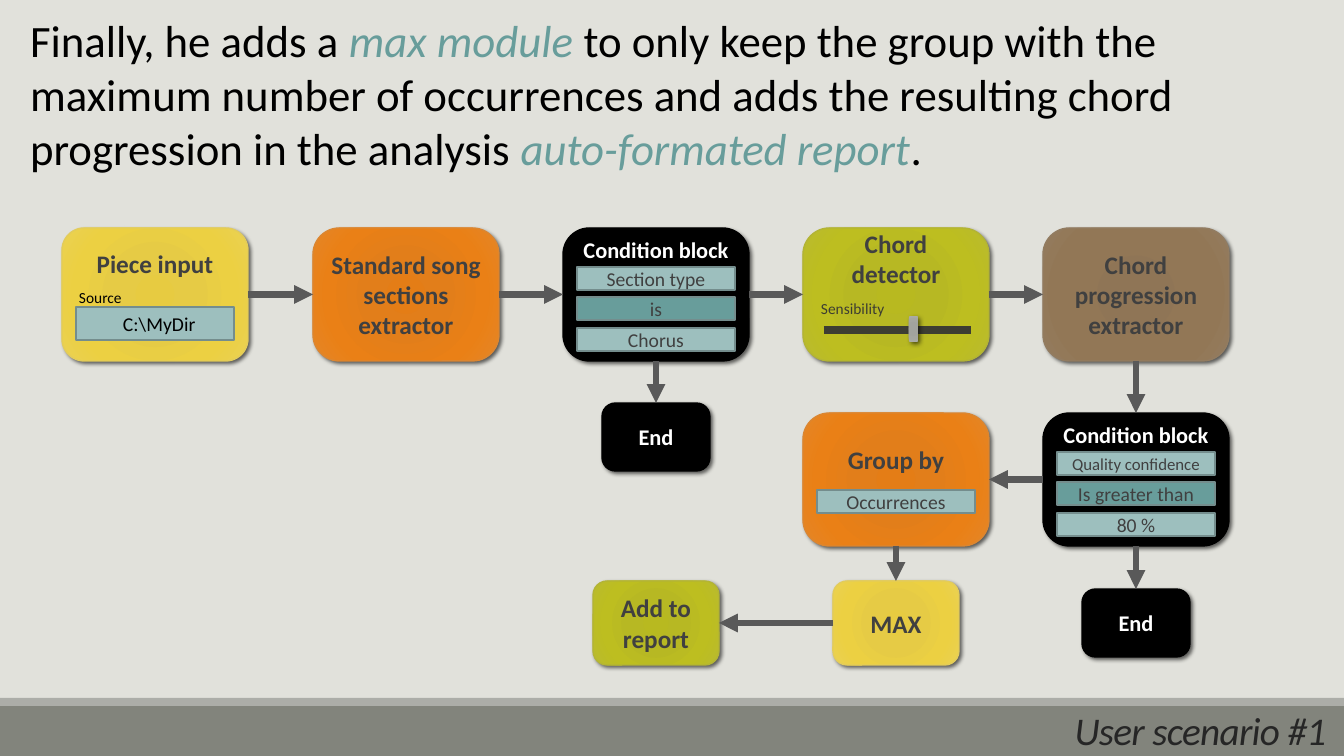
from lxml import etree
from pptx import Presentation
from pptx.dml.color import RGBColor
from pptx.enum.shapes import MSO_CONNECTOR, MSO_SHAPE
from pptx.enum.text import MSO_ANCHOR, MSO_AUTO_SIZE, PP_ALIGN
from pptx.oxml.ns import qn
from pptx.util import Emu, Pt

RECT, ROUND = MSO_SHAPE.RECTANGLE, MSO_SHAPE.ROUNDED_RECTANGLE
LEFT, CENTER, RIGHT = PP_ALIGN.LEFT, PP_ALIGN.CENTER, PP_ALIGN.RIGHT
TOP, MIDDLE = MSO_ANCHOR.TOP, MSO_ANCHOR.MIDDLE
STRAIGHT = MSO_CONNECTOR.STRAIGHT
NO_FIT = MSO_AUTO_SIZE.NONE

# Connection sites of a rounded rectangle
NORTH, WEST, SOUTH, EAST = range(4)

# Fills: one colour, or four gradient colours; each block look adds its line
YELLOW = (("E7CB41", "E6CB45", "ECD042", "EAD153"), "E3CC5A")
ORANGE = (("E47D16", "E27E1A", "EA8016", "E48628"), "DB8631")
GREEN = (("B8B920", "B7B823", "BDBE20", "B9BA2F"), "B3B435")
BROWN = (("8F7454", "8F7556", "927756", "947C5F"), "927C61")
BLACK = ("000000", "000000")
KNOB = (("A1A29C", "A2A39E", "A5A6A0", "ACADA8"), None)
STOPS = (0, 34, 70, 100)
TEAL, PALE_TEAL, FIELD_LINE = "689D9B", "9DBFBE", "748D8D"
GREY, ARROW, DARK = "404040", "595959", "3D3D32"


def px(n):
    return Emu(round(n * 914400 / 100.8))


def rgb(value):
    return RGBColor.from_string(value)


def child(parent, tag, **attrs):
    return etree.SubElement(parent, qn(tag), {k: str(v) for k, v in attrs.items()})


def write(tf, text, size=18, color=GREY, bold=False, italic=False, align=LEFT,
          anchor=TOP, inset=(10, 5, 10, 5), leading=None, spacing=None):
    """Text is a string, or a list of (string, is_highlighted) pairs."""
    tf.word_wrap, tf.auto_size, tf.vertical_anchor = True, NO_FIT, anchor
    tf.margin_left, tf.margin_top, tf.margin_right, tf.margin_bottom = map(px, inset)
    p = tf.paragraphs[0]
    p.alignment = align
    if leading:
        p.line_spacing = leading
    for part, highlighted in [(text, False)] if isinstance(text, str) else text:
        r = p.add_run()
        r.text = part
        r.font.name, r.font.size = "Calibri", Pt(size)
        r.font.bold, r.font.italic = bold, italic or highlighted
        r.font.color.rgb = rgb(TEAL if highlighted else color)
        if spacing:
            r.font._element.set("spc", str(spacing))


class SlideBuilder:
    def __init__(self, prs, background):
        self.s = prs.slides.add_slide(prs.slide_layouts[5])
        fill = self.s.background.fill
        fill.solid()
        fill.fore_color.rgb = rgb(background)

    def title(self, text, x, y, w, h, **fmt):
        sp = self.s.shapes.title
        sp.left, sp.top, sp.width, sp.height = map(px, (x, y, w, h))
        write(sp.text_frame, text, **fmt)
        sp.element.getparent().append(sp.element)  # in front of the footer bars

    def label(self, text, x, y, w, h, **fmt):
        write(self.s.shapes.add_textbox(*map(px, (x, y, w, h))).text_frame, text, **fmt)

    def shape(self, kind, x, y, w, h, fill, line=None, line_width=1, shadow=None):
        sp = self.s.shapes.add_shape(kind, *map(px, (x, y, w, h)))
        sp.shadow.inherit = False
        if isinstance(fill, str):
            sp.fill.solid()
            sp.fill.fore_color.rgb = rgb(fill)
        else:
            self.radial(sp, fill)
        if line:
            sp.line.color.rgb = rgb(line)
            sp.line.width = Pt(line_width)
        else:
            sp.line.fill.background()
        if shadow:
            effects = sp.element.spPr.find(qn("a:effectLst"))
            outer = child(effects, "a:outerShdw", blurRad=Pt(shadow), dist=Pt(2),
                          dir=45 * 60000, algn="tl", rotWithShape=0)
            child(child(outer, "a:srgbClr", val="000000"), "a:alpha", val=60000)
        return sp

    def radial(self, sp, colors):
        sp.fill.background()
        spPr = sp.element.spPr
        grad = etree.Element(qn("a:gradFill"), rotWithShape="1")
        stops = child(grad, "a:gsLst")
        for pos, color in zip(STOPS, colors):
            child(child(stops, "a:gs", pos=pos * 1000), "a:srgbClr", val=color)
        focus = child(grad, "a:path", path="circle")
        child(focus, "a:fillToRect", **dict.fromkeys("ltrb", 100000))
        spPr.replace(spPr.find(qn("a:noFill")), grad)

    def block(self, text, cx, y, look, w=186, h=133, size=18, color=GREY,
              radius=0.198, reserve=0):
        """Block centred on cx; reserve keeps room below the text for fields."""
        sp = self.shape(ROUND, cx - w // 2, y, w, h, *look, shadow=3)
        sp.adjustments[0] = radius
        write(sp.text_frame, text, size=size, color=color, bold=True, align=CENTER,
              anchor=MIDDLE, inset=(10, 5, 10, 5 + reserve))
        return sp

    def field(self, text, cx, y, h=23, fill=PALE_TEAL, size=14, color=GREY,
              align=CENTER, indent=5):
        sp = self.shape(RECT, cx - 79, y, 158, h, fill, FIELD_LINE, 1.5)
        write(sp.text_frame, text, size=size, color=color, align=align,
              anchor=MIDDLE, inset=(indent, 0, 5, 0))

    def condition(self, cx, y, fields):
        sp = self.block("Condition block", cx, y, BLACK, size=16, color="FFFFFF", reserve=89)
        for dy, fill, (text, size) in zip((39, 69, 100), (PALE_TEAL, TEAL, PALE_TEAL), fields):
            self.field(text, cx, y + dy, fill=fill, size=size)
        return sp

    def end(self, cx, y):
        return self.block("End", cx, y, BLACK, w=108, h=68, size=16, color="FFFFFF")

    def line(self, x1, y1, x2, y2, color, width):
        c = self.s.shapes.add_connector(STRAIGHT, *map(px, (x1, y1, x2, y2)))
        c.line.color.rgb = rgb(color)
        c.line.width = Pt(width)
        child(c.element.spPr, "a:effectLst")
        return c

    def arrow(self, start, start_site, stop, stop_site):
        c = self.line(0, 0, 0, 0, ARROW, 4.5)
        c.begin_connect(start, start_site)
        c.end_connect(stop, stop_site)
        child(c.line._get_or_add_ln(), "a:tailEnd", type="triangle")


def main():
    prs = Presentation()
    prs.slide_width, prs.slide_height = px(1344), px(756)
    b = SlideBuilder(prs, "E1E1DB")

    # Footer and title
    b.shape(RECT, 0, 706, 1344, 50, "82847C")
    b.shape(RECT, 0, 698, 1344, 8, "ACADA8")
    b.title("User scenario #1", 862, 709, 482, 47, size=28, color="262626", italic=True,
            align=RIGHT, inset=(10, 5, 18, 0), leading=0.85, spacing=-50)

    # Explanation
    b.label([("Finally, he adds a ", False), ("max module ", True),
             ("to only keep the group with the maximum number of occurrences and adds "
              "the resulting chord progression in the analysis ", False),
             ("auto-formated report", True), (".", False)],
            0, 8, 1344, 173, size=32, color="000000", inset=(30, 5, 30, 5))

    # Top row: column centres and row tops
    col1, col2, col3, col4, col5 = 155, 406, 656, 896, 1136
    row1, row2, row3 = 228, 413, 581
    piece = b.block("Piece input", col1, row1, YELLOW, radius=0.167, reserve=62)
    b.label("Source", 69, 283, 155, 29, size=11, color="000000")
    b.field("C:\\MyDir", col1, 307, h=33, color="000000", align=LEFT, indent=47)
    sections = b.block("Standard song sections extractor", col2, row1, ORANGE)
    chorus = b.condition(col3, row1, [("Section type", 14), ("is", 14), ("Chorus", 14)])
    detector = b.block("Chord detector", col4, row1, GREEN, reserve=72)
    progression = b.block("Chord progression extractor", col5, row1, BROWN)

    # Sensibility slider
    b.label("Sensibility", 811, 294, 155, 29, size=11, color=DARK)
    b.line(824, 330, 971, 330, DARK, 6)
    b.shape(ROUND, 909, 316, 9, 26, *KNOB, shadow=3.5)

    # Lower rows
    chorus_end = b.end(col3, 403)
    quality = b.condition(col5, row2, [("Quality confidence", 12), ("Is greater than", 14),
                                       ("80 %", 14)])
    group = b.block("Group by", col4, row2, ORANGE, reserve=41)
    b.field("Occurrences", col4, 490)
    quality_end = b.end(col5, 589)
    maximum = b.block("MAX", col4, row3, YELLOW, w=126, h=84, radius=0.167)
    report = b.block("Add to report", col3, row3, GREEN, w=126, h=84, radius=0.167)

    # Flow
    top_row = [piece, sections, chorus, detector, progression]
    for start, stop in zip(top_row, top_row[1:]):
        b.arrow(start, EAST, stop, WEST)
    for start, stop in [(chorus, chorus_end), (progression, quality),
                        (quality, quality_end), (group, maximum)]:
        b.arrow(start, SOUTH, stop, NORTH)
    for start, stop in [(quality, group), (maximum, report)]:
        b.arrow(start, WEST, stop, EAST)

    prs.save("out.pptx")


if __name__ == "__main__":
    main()
